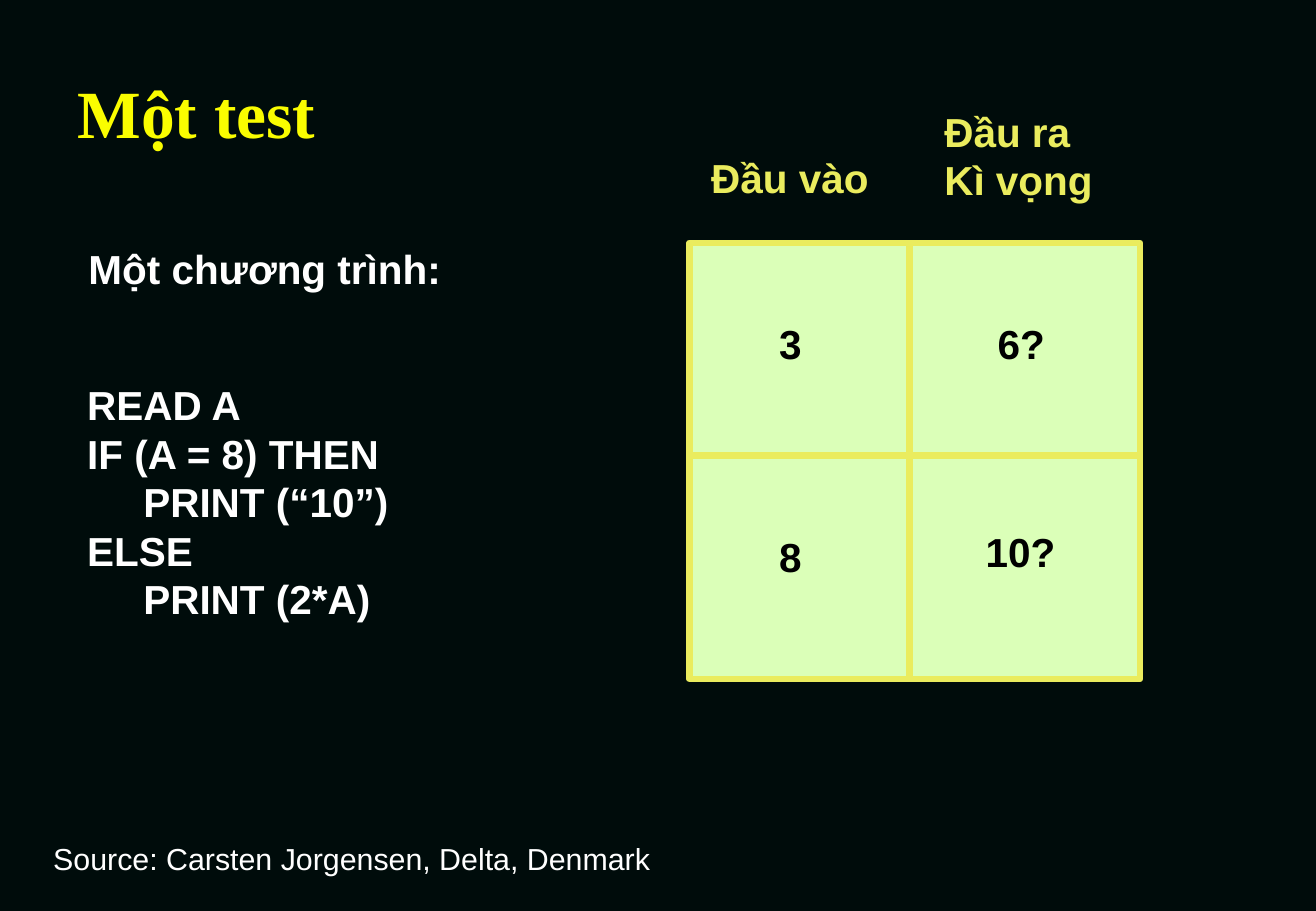
from lxml import etree
from pptx import Presentation
from pptx.dml.color import RGBColor
from pptx.enum.shapes import MSO_CONNECTOR, MSO_SHAPE
from pptx.enum.text import MSO_ANCHOR
from pptx.oxml.ns import qn
from pptx.util import Inches, Pt

STRAIGHT = MSO_CONNECTOR.STRAIGHT
RECTANGLE = MSO_SHAPE.RECTANGLE
TOP, MIDDLE = MSO_ANCHOR.TOP, MSO_ANCHOR.MIDDLE

COLORS = {
    "background": "000C0B",
    "title": "FAFD00",
    "light": "FFFFFF",
    "dark": "000000",
    "accent": "EAEC5E",
    "cell": "DBFFB8",
}


def color(name):
    return RGBColor.from_string(COLORS[name])


class TestSlide:
    """Holds the shared text and line style and the slide being filled."""

    font = "Arial"
    size = 24
    line_width = 4

    def __init__(self, deck):
        self.page = deck.slides.add_slide(deck.slide_layouts[6])
        fill = self.page.background.fill
        fill.solid()
        fill.fore_color.rgb = color("background")

    def text(self, lines, left, top, width, height, ink, size=None,
             bold=True, font=None, anchor=TOP):
        box = self.page.shapes.add_textbox(
            Inches(left), Inches(top), Inches(width), Inches(height))
        frame = box.text_frame
        frame.word_wrap = False
        frame.vertical_anchor = anchor
        for index, line in enumerate(lines):
            para = frame.add_paragraph() if index else frame.paragraphs[0]
            span = para.add_run()
            span.text = line
            span.font.name = font or self.font
            span.font.size = Pt(size or self.size)
            span.font.bold = bold
            span.font.color.rgb = color(ink)

    def outline(self, line):
        line.color.rgb = color("accent")
        line.width = Pt(self.line_width)

    def panel(self, left, top, width, height):
        shape = self.page.shapes.add_shape(
            RECTANGLE, Inches(left), Inches(top), Inches(width), Inches(height))
        shape.shadow.inherit = False
        shape.fill.solid()
        shape.fill.fore_color.rgb = color("cell")
        self.outline(shape.line)

    def divider(self, start, end):
        connector = self.page.shapes.add_connector(
            STRAIGHT, *(Inches(value) for value in (*start, *end)))
        self.outline(connector.line)
        etree.SubElement(connector._element.spPr, qn("a:effectLst"))


def main():
    deck = Presentation()
    deck.slide_width, deck.slide_height = Inches(10.84), Inches(7.5)
    slide = TestSlide(deck)

    slide.text(["Một test"], 0.54, 0.58, 9.21, 0.67, "title", size=40,
               font="Times New Roman", anchor=MIDDLE)
    slide.text(["Một chương trình:"], 0.63, 1.96, 3.11, 0.9, "light")
    slide.text(["Source: Carsten Jorgensen, Delta, Denmark"],
               0.34, 6.87, 5.12, 0.4, "light", size=18, bold=False)

    left, top, width, height = 5.68, 2, 3.71, 3.59
    row_line, column_line = 3.75, 7.49
    slide.panel(left, top, width, height)
    slide.divider((left, row_line), (left + width, row_line))
    slide.divider((column_line, top), (column_line, top + height))

    slide.text(["Đầu vào"], 5.76, 1.21, 1.5, 0.5, "accent")
    slide.text(["Đầu ra", "Kì vọng"], 7.68, 0.83, 1.42, 0.9, "accent")

    cells = [
        ("3", 6.32, 2.58, 0.39),
        ("8", 6.32, 4.33, 0.39),
        ("6?", 8.12, 2.58, 0.59),
        ("10?", 8.02, 4.29, 0.78),
    ]
    for value, cell_left, cell_top, cell_width in cells:
        slide.text([value], cell_left, cell_top, cell_width, 0.5, "dark")

    program = [
        "READ A",
        "IF (A = 8) THEN",
        "     PRINT (“10”)",
        "ELSE",
        "     PRINT (2*A)",
    ]
    slide.text(program, 0.62, 3.08, 2.68, 2.1, "light")

    deck.save("out.pptx")


if __name__ == "__main__":
    main()
